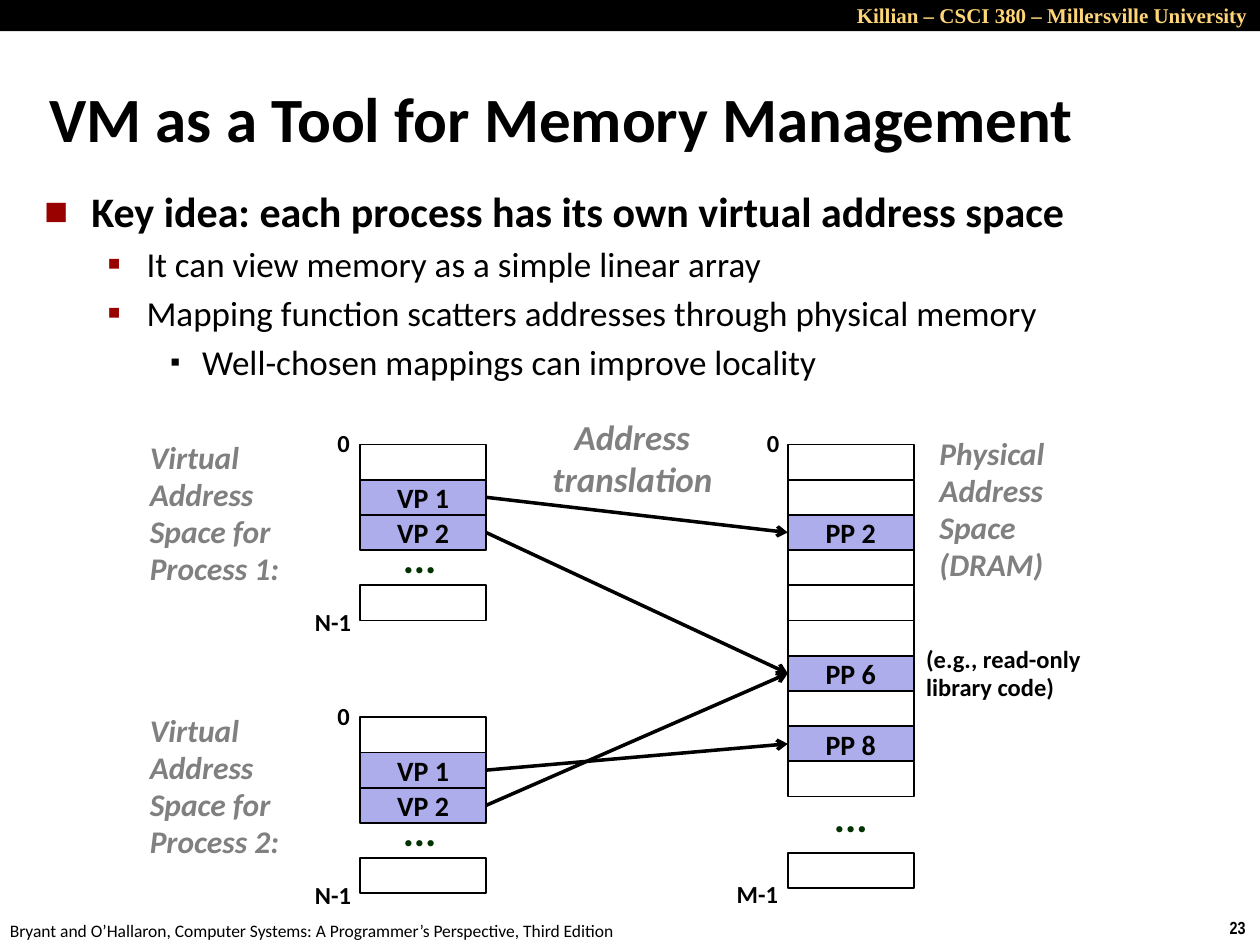
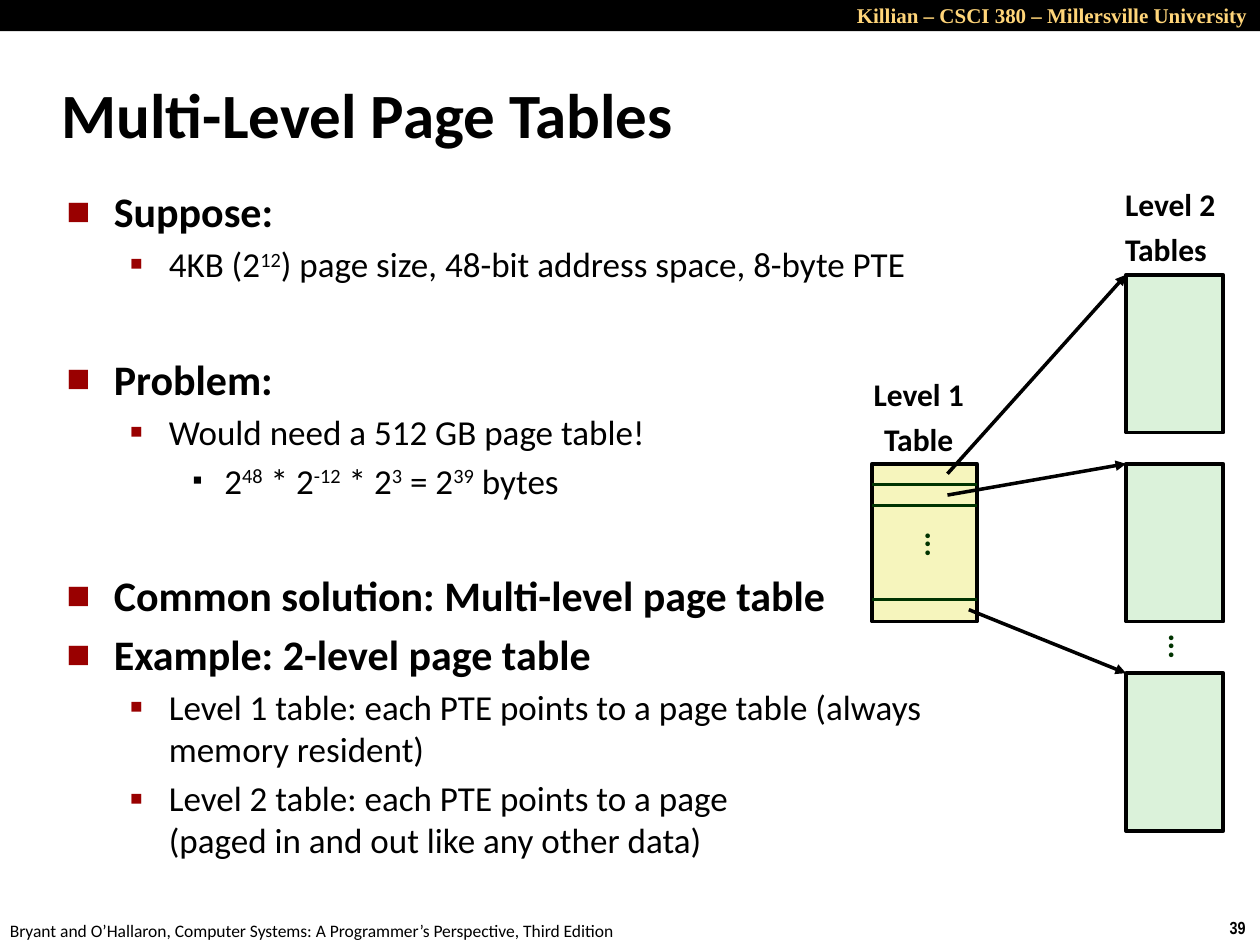
from pptx import Presentation
from pptx.dml.color import RGBColor
from pptx.enum.shapes import MSO_CONNECTOR, MSO_SHAPE
from pptx.enum.text import MSO_ANCHOR, MSO_AUTO_SIZE, PP_ALIGN
from pptx.oxml import parse_xml
from pptx.oxml.ns import nsdecls, qn
from pptx.util import Cm, Pt

LEFT, CENTER, RIGHT = PP_ALIGN.LEFT, PP_ALIGN.CENTER, PP_ALIGN.RIGHT
MIDDLE = MSO_ANCHOR.MIDDLE
NO_AUTOFIT = MSO_AUTO_SIZE.NONE
RECTANGLE = MSO_SHAPE.RECTANGLE
STRAIGHT = MSO_CONNECTOR.STRAIGHT
LEFT_SIDE, RIGHT_SIDE = 1, 3

COLORS = {
    "black": "000000",
    "header": "FFD579",
    "bullet": "990000",
    "caption": "808080",
    "dots": "003300",
    "mapped": "ADADEB",
    "level 1": "F6F5BD",
    "level 2": "DBF2DA",
}
FONT = "Calibri"

PAGE_WIDTH, PAGE_HEIGHT = 2.54, 0.71
FIRST_PAGE_TOP = 8.96
PROCESS_PITCH = 5.5
TABLE_HEIGHT = 3.18
GROUP_GAP = 39  # points before a bullet that opens a new group

# Bullet levels: indent, hanging (cm), size, bold, bullet, its percent, its colour
LIST_LEVELS = [
    (0.95, 0.95, 24, 1, "■", 60, "bullet"),
    (2.06, 0.79, 20, 0, "▪", 110, "bullet"),
    (3.18, 0.64, 20, 0, "▪", 80, "black"),
]


def color(name):
    return RGBColor.from_string(COLORS[name])


# Shared styles
def replace_level(style, level, indent, hanging, before, bullet, size, bold):
    """Replace one level of a text style on the slide master."""
    old = style.find(qn(f"a:lvl{level}pPr"))
    new = parse_xml(
        f'<a:lvl{level}pPr {nsdecls("a")} marL="{Cm(indent)}" indent="{-Cm(hanging)}" algn="l">'
        f'<a:spcBef><a:spcPct val="{before * 1000}"/></a:spcBef>{bullet}'
        f'<a:defRPr sz="{size * 100}" b="{bold}"><a:solidFill>'
        f'<a:srgbClr val="{COLORS["black"]}"/></a:solidFill>'
        f'<a:latin typeface="{FONT}"/></a:defRPr></a:lvl{level}pPr>')
    style.replace(old, new)


def style_master(presentation):
    styles = presentation.slide_master.element.find(qn("p:txStyles"))
    replace_level(styles.find(qn("p:titleStyle")), 1, 0.32, 0.32, 0, "<a:buNone/>", 36, 1)
    body_style = styles.find(qn("p:bodyStyle"))
    for level, (indent, hanging, size, bold, char, percent, tint) in enumerate(LIST_LEVELS, 1):
        bullet = (f'<a:buClr><a:srgbClr val="{COLORS[tint]}"/></a:buClr>'
                  f'<a:buSzPct val="{percent * 1000}"/><a:buFont typeface="{FONT}"/>'
                  f'<a:buChar char="{char}"/>')
        replace_level(body_style, level, indent, hanging, 20, bullet, size, bold)


# Text
def write_text(frame, text, size=14, font=FONT, tint="black", bold=True, italic=False,
               align=LEFT, spacing=None, before=None):
    for index, line in enumerate(text.split("\n")):
        paragraph = frame.add_paragraph() if index else frame.paragraphs[0]
        paragraph.alignment = align
        if spacing:
            paragraph.line_spacing = spacing
        if before:
            paragraph.space_before = Pt(before)
        run = paragraph.add_run()
        run.text = line
        run.font.size, run.font.name = Pt(size), font
        run.font.bold, run.font.italic = bold, italic
        run.font.color.rgb = color(tint)


def add_text(slide, text, left, top, width, height, wrap=False, **text_format):
    box = slide.shapes.add_textbox(Cm(left), Cm(top), Cm(width), Cm(height))
    box.text_frame.word_wrap = wrap
    write_text(box.text_frame, text, **text_format)
    return box


def add_caption(slide, text, left, top, width):
    add_text(slide, text, left, top, width, 3.26, wrap=True, size=18,
             tint="caption", italic=True, spacing=0.98)


def add_dots(slide, left, top):
    add_text(slide, "...", left, top, 1.19, 1.14, size=24, tint="dots",
             spacing=0.88, before=9)


def add_upright_dots(slide, left, top):
    box = add_text(slide, "...", left, top, 1.02, 0.91, size=18, tint="dots",
                   spacing=0.88, before=6.8)
    box.rotation = 270


def place(shape, left, top, width, height):
    shape.left, shape.top, shape.width, shape.height = map(Cm, (left, top, width, height))
    shape.text_frame.auto_size = NO_AUTOFIT


def fill_list(body, items):
    """Fill the body; text between ^ marks is superscript."""
    for index, (level, text, *gap) in enumerate(items):
        paragraph = body.text_frame.add_paragraph() if index else body.text_frame.paragraphs[0]
        paragraph.level = level
        if gap:
            paragraph.space_before = Pt(gap[0])
        for line_number, line in enumerate(text.split("\n")):
            if line_number:
                paragraph.add_line_break()
            for part, piece in enumerate(line.split("^")):
                run = paragraph.add_run()
                run.text = piece
                if part % 2:
                    run.font._element.set("baseline", "30000")


# Shapes
def add_box(slide, left, top, width, height, fill=None, weight=1, text=""):
    shape = slide.shapes.add_shape(RECTANGLE, Cm(left), Cm(top), Cm(width), Cm(height))
    shape.shadow.inherit = False
    if fill:
        shape.fill.solid()
        shape.fill.fore_color.rgb = color(fill)
    else:
        shape.fill.background()
    shape.line.color.rgb = color("black")
    shape.line.width = Pt(weight)
    if text:
        shape.text_frame.vertical_anchor = MIDDLE
        write_text(shape.text_frame, text, size=16, align=CENTER)
    return shape


def add_line(slide, start=(0, 0), end=(0, 0), tint="black", weight=2, head=None):
    line = slide.shapes.add_connector(STRAIGHT, *map(Cm, (*start, *end)))
    line.line.color.rgb = color(tint)
    line.line.width = Pt(weight)
    properties = line._element.spPr
    if head:
        line.line._get_or_add_ln().append(
            parse_xml(f'<a:tailEnd {nsdecls("a")} type="{head}"/>'))
    properties.append(parse_xml(f'<a:effectLst {nsdecls("a")}/>'))
    return line


def add_page(slide, left, top, name=""):
    return add_box(slide, left, top, PAGE_WIDTH, PAGE_HEIGHT,
                   fill="mapped" if name else None, text=name)


def add_virtual_space(slide, number):
    """Draw one process's virtual pages and return the mapped ones."""
    left, top = 7.26, FIRST_PAGE_TOP + (number - 1) * PROCESS_PITCH
    add_caption(slide, f"Virtual Address Space for Process {number}:", 2.77, top - 0.22, 3.81)
    add_text(slide, "0", 6.55, top - 0.43, 0.79, 0.84, spacing=0.98)
    add_text(slide, "N-1", 6.1, top + 3.18, 1.24, 0.84, spacing=0.98)
    pages = [add_page(slide, left, top + row * PAGE_HEIGHT, name)
             for row, name in ((0, ""), (1, "VP 1"), (2, "VP 2"), (4, ""))]
    add_dots(slide, 7.87, top + 1.76)
    return pages[1:3]


def add_physical_space(slide):
    """Draw the physical pages and return them by row."""
    left = 15.88
    add_caption(slide, "Physical\nAddress\nSpace (DRAM)", 18.69, 8.66, 2.97)
    add_text(slide, "0", 15.21, 8.53, 0.79, 0.84, spacing=0.98)
    add_text(slide, "M-1", 14.6, 17.63, 1.35, 0.84, spacing=0.98)
    add_text(slide, "(e.g., read-only\nlibrary code)", 18.42, 12.88, 4.04, 1.42,
             wrap=True, spacing=0.98)
    pages = [add_page(slide, left, FIRST_PAGE_TOP + row * PAGE_HEIGHT,
                      f"PP {row}" if row in (2, 6, 8) else "") for row in range(10)]
    add_page(slide, left, 17.2)
    add_dots(slide, 16.56, 15.95)
    return pages


# Slides
def add_slide(presentation, number, title, title_place, items, body_place):
    slide = presentation.slides.add_slide(presentation.slide_layouts[1])
    heading, body = slide.placeholders[0], slide.placeholders[1]
    place(heading, *title_place)
    heading.text_frame.text = title
    place(body, *body_place)
    fill_list(body, items)
    # Header band and footer
    band = add_box(slide, 0, 0, 25.4, 0.63, fill="black")
    band.line.fill.background()
    add_text(slide, "Killian – CSCI 380 – Millersville University", 16.99, -0.08, 8.41, 0.76,
             wrap=True, size=12, font="Times New Roman", tint="header", align=RIGHT)
    add_text(slide, "Bryant and O’Hallaron, Computer Systems: A Programmer’s Perspective, "
             "Third Edition", -0.05, 18.42, 12.9, 0.69, size=10, bold=False)
    add_text(slide, str(number), 24.54, 18.36, 0.86, 0.69, size=10, font="Arial Narrow")
    return slide


def add_memory_slide(presentation):
    slide = add_slide(
        presentation, 23, "VM as a Tool for Memory Management", (0.74, 1.57, 23.93, 1.6),
        [(0, "Key idea: each process has its own virtual address space"),
         (1, "It can view memory as a simple linear array"),
         (1, "Mapping function scatters addresses through physical memory"),
         (2, "Well-chosen mappings can improve locality")],
        (0.64, 3.61, 21.82, 3.51))
    first, second = (add_virtual_space(slide, number) for number in (1, 2))
    physical = add_physical_space(slide)
    # Address translation
    for virtual_page, row in zip(first + second, (2, 6, 8, 6)):
        arrow = add_line(slide, head="arrow")
        arrow.begin_connect(virtual_page, RIGHT_SIDE)
        arrow.end_connect(physical[row], LEFT_SIDE)
    add_text(slide, "Address\ntranslation", 10.87, 8.26, 3.76, 1.96, size=20,
             tint="caption", italic=True, align=CENTER)


def add_page_table_slide(presentation):
    slide = add_slide(
        presentation, 39, "Multi-Level Page Tables", (0.99, 1.22, 21.08, 2.11),
        [(0, "Suppose:"),
         (1, "4KB (2^12^) page size, 48-bit address space, 8-byte PTE"),
         (0, "Problem:", GROUP_GAP),
         (1, "Would need a 512 GB page table!"),
         (2, "2^48^ * 2^-12^ * 2^3^ = 2^39^ bytes"),
         (0, "Common solution: Multi-level page table", GROUP_GAP),
         (0, "Example: 2-level page table"),
         (1, "Level 1 table: each PTE points to a page table (always memory resident)"),
         (1, "Level 2 table: each PTE points to a page\n(paged in and out like any other data)")],
        (1.09, 3.61, 19.23, 13.82))
    # Level 1 table
    table_left, table_width = 17.58, 2.11
    label_format = dict(size=18, spacing=0.88, before=6.8)
    add_text(slide, "Level 1\nTable", 17.35, 7.54, 2.34, 1.85, align=CENTER, **label_format)
    add_box(slide, table_left, 9.35, table_width, TABLE_HEIGHT, fill="level 1", weight=2.25)
    # Level 2 tables, each with the entry that points to it
    second_left = 22.7
    add_text(slide, "Level 2\nTables", 22.43, 3.71, 2.34, 1.85, **label_format)
    for top, entry in ((5.54, (19.1, 9.55)), (9.35, (19.1, 9.98)), (13.57, (19.53, 12.29))):
        add_box(slide, second_left, top, 1.96, TABLE_HEIGHT, fill="level 2", weight=2.25)
        add_line(slide, entry, (second_left, top), head="triangle")
    # Entry dividers
    for top in (9.77, 10.19, 12.09):
        add_line(slide, (table_left, top), (table_left + table_width, top),
                 tint="dots", weight=1.5)
    add_upright_dots(slide, 18.03, 10.52)
    add_upright_dots(slide, 22.94, 12.57)


def main():
    presentation = Presentation()
    presentation.slide_width, presentation.slide_height = Cm(25.4), Cm(19.05)
    style_master(presentation)
    add_memory_slide(presentation)
    add_page_table_slide(presentation)
    presentation.save("out.pptx")


if __name__ == "__main__":
    main()
